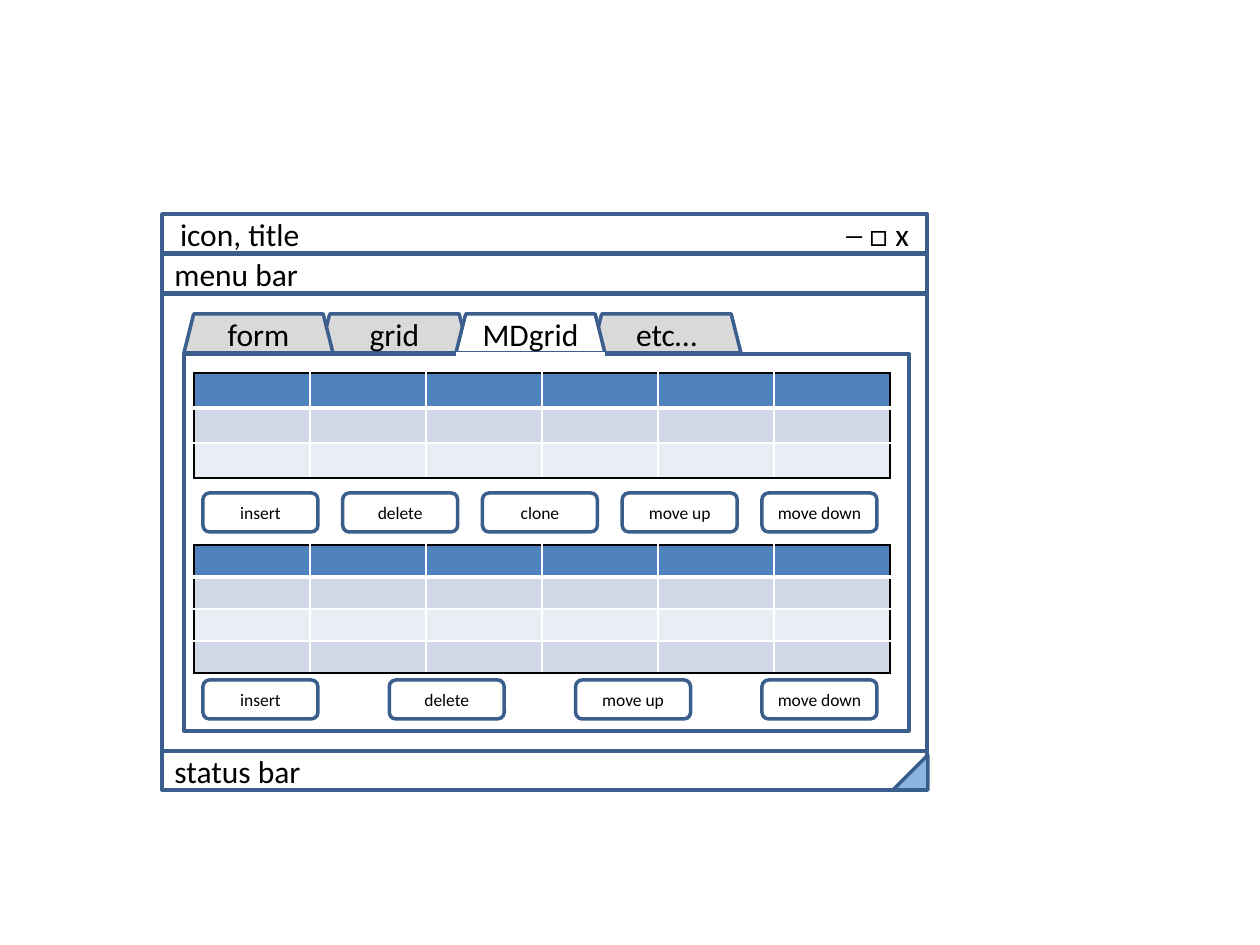
from lxml import etree
from pptx import Presentation, util as u
from pptx.dml.color import RGBColor
from pptx.enum import shapes, text
from pptx.oxml.ns import qn

SCALE = 914400 // 126
COLORS = {"line": "3A5F8C", "white": "FFFFFF", "black": "000000", "gray": "D9D9D9",
          "grip": "8EB4E3", "header": "4F81BD", "band": "D0D8E8", "light": "E9EDF4"}
KIND = shapes.MSO_SHAPE
CENTER, LEFT = text.PP_ALIGN.CENTER, text.PP_ALIGN.LEFT

WINDOW_X, WINDOW_W, BAR_H = 162, 765, 39
BODY = (WINDOW_X, 294, WINDOW_W, 457)
PANEL = (184, 354, 725, 377)
BARS = [("menu bar", 254), ("status bar", 751)]
TITLE, CONTROLS, TITLE_Y = "icon, title", "─ □ x", 214
TABS = ["form", "grid", "MDgrid", "etc…"]
ACTIVE_TAB = "MDgrid"
TAB_X, TAB_Y, TAB_W, TAB_STEP = 184, 314, 149, 136
BUTTON_X, BUTTON_LAST_X, BUTTON_W, BUTTON_H = 203, 762, 115, 39
BUTTON_ROWS = [
    (493, ["insert", "delete", "clone", "move up", "move down"]),
    (680, ["insert", "delete", "move up", "move down"]),
]
GRID_X, COLUMNS, COLUMN_W = 194, 6, 116
GRIDS = [  # top, row height, row fills
    (373, 35, ["header", "band", "light"]),
    (545, 32, ["header", "band", "light", "band"]),
]

deck = Presentation()
deck.slide_width, deck.slide_height = u.Inches(10), u.Inches(7.5)
slide = deck.slides.add_slide(deck.slide_layouts[6])


def px(*lengths):
    """Turn pixels into EMU."""
    return [u.Emu(round(length * SCALE)) for length in lengths]


def color(name):
    """Look up a palette colour."""
    return RGBColor.from_string(COLORS[name])


def write(frame, words, size=18, align=LEFT, ink="black"):
    """Write one formatted paragraph, centred vertically."""
    frame.word_wrap = True
    frame.vertical_anchor = text.MSO_ANCHOR.MIDDLE
    paragraph = frame.paragraphs[0]
    paragraph.alignment = align
    run = paragraph.add_run()
    run.text = words
    run.font.size, run.font.name = u.Pt(size), "Calibri"
    run.font.color.rgb = color(ink)
    return paragraph


def block(kind, box, fill="white", words=None, **style):
    """Draw an outlined shape, with text if given."""
    part = slide.shapes.add_shape(kind, *px(*box))
    part.shadow.inherit = False
    part.fill.solid()
    part.fill.fore_color.rgb = color(fill)
    part.line.color.rgb = color("line")
    part.line.width = u.Pt(2)
    if words:
        write(part.text_frame, words, **style)
    return part


def tab(name):
    """Draw one tab of the tab strip."""
    box = (TAB_X + TAB_STEP * TABS.index(name), TAB_Y, TAB_W, BAR_H)
    fill = "white" if name == ACTIVE_TAB else "gray"
    block(KIND.TRAPEZOID, box, fill, name, align=CENTER)
    return box


def title_bar():
    """Draw the title bar with its controls at a right tab stop."""
    bar = block(KIND.RECTANGLE, (WINDOW_X, TITLE_Y, WINDOW_W, BAR_H))
    bar.text_frame.margin_left, = px(18)
    bar.text_frame.margin_right, = px(12)
    paragraph = write(bar.text_frame, f"{TITLE}\t{CONTROLS}")
    stops = etree.SubElement(paragraph._p.get_or_add_pPr(), qn("a:tabLst"))
    etree.SubElement(stops, qn("a:tab"), pos=str(px(729)[0]), algn="r")


def border(cell, side, name, points):
    """Add one border line to a cell."""
    line = etree.Element(qn(f"a:{side}"), w=str(u.Pt(points)))
    fill = etree.SubElement(line, qn("a:solidFill"))
    etree.SubElement(fill, qn("a:srgbClr"), val=COLORS[name])
    cell._tc.get_or_add_tcPr().append(line)


def grid(top, row_h, fills):
    """Draw an empty banded table in a black frame."""
    last_row, last_col = len(fills) - 1, COLUMNS - 1
    table = slide.shapes.add_table(len(fills), COLUMNS, *px(
        GRID_X, top, COLUMNS * COLUMN_W, len(fills) * row_h)).table
    for column in table.columns:
        column.width, = px(COLUMN_W)
    for r, fill in enumerate(fills):
        table.rows[r].height, = px(row_h)
        for c in range(COLUMNS):
            cell = table.cell(r, c)
            edges = {"lnL": c == 0, "lnR": c == last_col,
                     "lnT": r == 0, "lnB": r == last_row}
            for side, outer in edges.items():
                under_header = (r, side) in [(0, "lnB"), (1, "lnT")]
                border(cell, side, "black" if outer else "white", 3 if under_header else 1)
            cell.fill.solid()
            cell.fill.fore_color.rgb = color(fill)
            cell.margin_top = cell.margin_bottom = 0
            etree.SubElement(cell.text_frame.paragraphs[0]._p, qn("a:endParaRPr"), sz="800")


block(KIND.RECTANGLE, BODY)
for name in ["grid", "etc…", "form"]:
    tab(name)
block(KIND.RECTANGLE, PANEL)
for words, y in BARS:
    block(KIND.RECTANGLE, (WINDOW_X, y, WINDOW_W, BAR_H), words=words)

left, _, width, _ = tab(ACTIVE_TAB)
opening = slide.shapes.add_connector(
    shapes.MSO_CONNECTOR.STRAIGHT, *px(left, PANEL[1], left + width, PANEL[1]))
opening.line.color.rgb = color("white")
opening.line.width = u.Pt(2)
etree.SubElement(opening._element.spPr, qn("a:effectLst"))

for y, labels in BUTTON_ROWS:
    step = (BUTTON_LAST_X - BUTTON_X) / (len(labels) - 1)
    for i, label in enumerate(labels):
        block(KIND.ROUNDED_RECTANGLE, (BUTTON_X + i * step, y, BUTTON_W, BUTTON_H),
              words=label, size=10, align=CENTER)

grip = block(KIND.RIGHT_TRIANGLE, (893, 755, 35, 35), "grip")
grip._element.spPr.get_or_add_xfrm().set("flipH", "1")
title_bar()
for top, row_h, fills in GRIDS:
    grid(top, row_h, fills)

deck.save("out.pptx")
